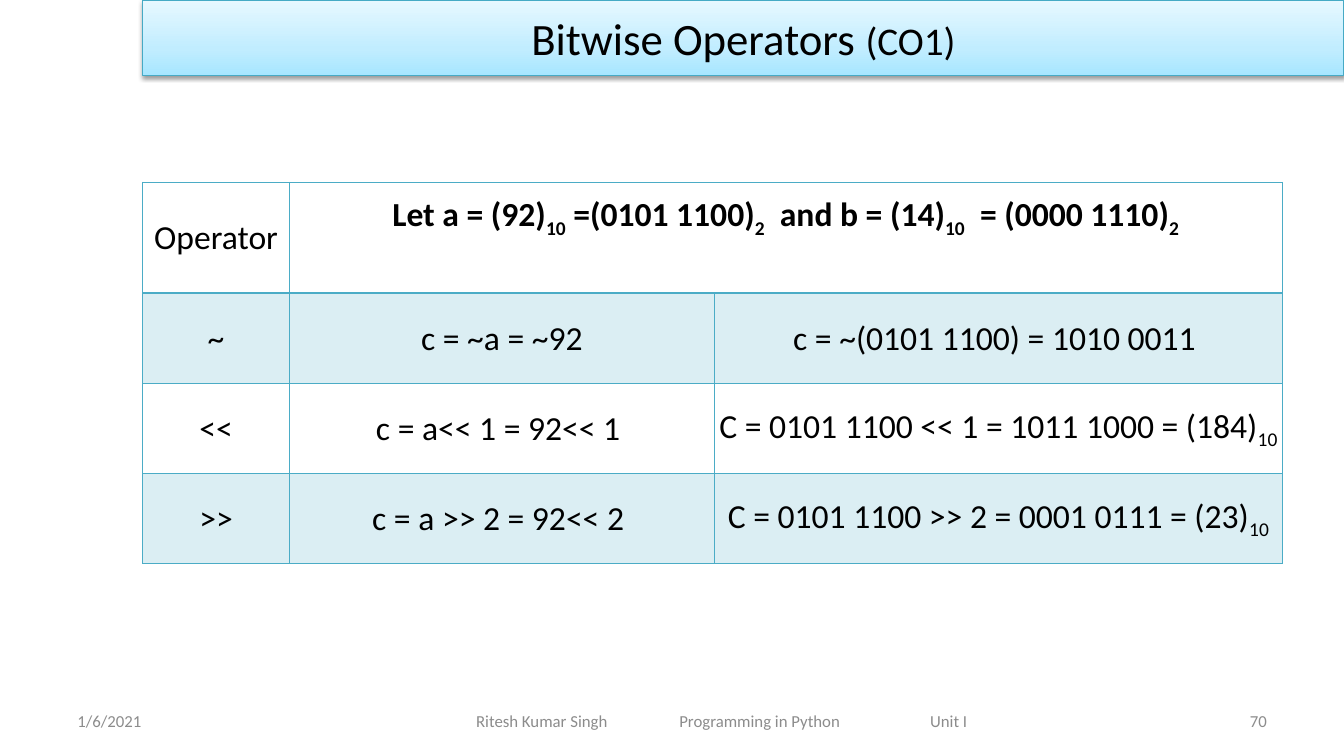
import pptx
import pptx.dml.color
import pptx.enum.text
import pptx.oxml
import pptx.oxml.ns
import pptx.util
from pptx.util import Cm

THEME = {
    "font": "Calibri", "text": "000000", "muted": "8C8C8C",
    "accent": "4BACC6", "title_line": "46AAC5",
    "title_stops": [(0, "A7E6FF"), (35, "C1EDFF"), (100, "E7F8FF")],
    "title": 32, "title_small": 28, "body": 24, "footer": 12,
}
ALIGN = pptx.enum.text.PP_ALIGN
MIDDLE = pptx.enum.text.MSO_ANCHOR.MIDDLE
RGB = pptx.dml.color.RGBColor.from_string


def xml(markup):
    """Parse one drawing element written without its namespace."""
    tag, rest = markup[1:].split(" ", 1)
    return pptx.oxml.parse_xml(f"<{tag} {pptx.oxml.ns.nsdecls('a')} {rest}")


def write(para, text, size=THEME["body"], color=THEME["text"], bold=False, align=ALIGN.CENTER):
    """Add text to a paragraph; parts between bars are subscripts."""
    para.alignment = align
    for index, part in enumerate(text.split("|")):
        if not part:
            continue
        span = para.add_run()
        span.text = part
        span.font.name = THEME["font"]
        span.font.size = pptx.util.Pt(size)
        span.font.bold = bold
        span.font.color.rgb = RGB(color)
        if index % 2:
            span.font._element.set("baseline", "-25000")


deck = pptx.Presentation()
deck.slide_width, deck.slide_height = Cm(33.87), Cm(19.05)
page = deck.slides.add_slide(deck.slide_layouts[5])

# Title bar
title = page.shapes.title
title.left, title.top, title.width, title.height = Cm(3.6), Cm(0), Cm(30.27), Cm(1.9)
title.text_frame.auto_size = pptx.enum.text.MSO_AUTO_SIZE.NONE
title.text_frame.vertical_anchor = MIDDLE
heading = title.text_frame.paragraphs[0]
write(heading, "Bitwise Operators ", size=THEME["title"])
write(heading, "(CO1)", size=THEME["title_small"])
title.fill.gradient()
title.fill.gradient_angle = 90
stops = title._element.spPr.find(".//" + pptx.oxml.ns.qn("a:gsLst"))
for stop in list(stops):
    stops.remove(stop)
for position, color in THEME["title_stops"]:
    stops.append(xml(f'<a:gs pos="{position * 1000}"><a:srgbClr val="{color}"/></a:gs>'))
title.line.color.rgb = RGB(THEME["title_line"])
title.line.width = pptx.util.Pt(0.75)
title.shadow.inherit = False
title._element.spPr.find(pptx.oxml.ns.qn("a:effectLst")).append(xml(
    '<a:outerShdw blurRad="40000" dist="20000" dir="5400000" rotWithShape="0">'
    '<a:srgbClr val="000000"><a:alpha val="38000"/></a:srgbClr></a:outerShdw>'))

# Operator table
ROWS = [
    ("Operator", "Let a = (92)|10| =(0101 1100)|2|  and b = (14)|10|  = (0000 1110)|2|", ""),
    ("~", "c = ~a = ~92", "c = ~(0101 1100) = 1010 0011 "),
    ("<<", "c = a<< 1 = 92<< 1 ", "C = 0101 1100 << 1 = 1011 1000 = (184)|10|"),
    (">>", "c = a >> 2 = 92<< 2 ", "C = 0101 1100 >> 2 = 0001 0111 = (23)|10|"),
]
WIDTHS = [3.69, 10.72, 14.3]
HEIGHTS = [2.79, 2.27, 2.27, 2.27]
table = page.shapes.add_table(
    len(ROWS), len(WIDTHS), Cm(3.6), Cm(4.6), Cm(sum(WIDTHS)), Cm(sum(HEIGHTS))).table
table.first_row = table.horz_banding = False
for column, width in zip(table.columns, WIDTHS):
    column.width = Cm(width)
for row, height in zip(table.rows, HEIGHTS):
    row.height = Cm(height)
table.cell(0, 1).merge(table.cell(0, 2))

for r, texts in enumerate(ROWS):
    for c, text in enumerate(texts):
        cell = table.cell(r, c)
        cell.vertical_anchor = MIDDLE
        cell.margin_left = cell.margin_right = cell.margin_top = Cm(0.03)
        cell.margin_bottom = Cm(0)
        write(cell.text_frame.paragraphs[0], text, bold=(r == 0 and c > 0))
        if r % 2:
            cell.fill.solid()
            cell.fill.fore_color.rgb = RGB(THEME["accent"])
            tint = cell._tc.tcPr.find(".//" + pptx.oxml.ns.qn("a:srgbClr"))
            tint.append(xml('<a:alpha val="20000"/>'))
        else:
            cell.fill.background()
        # The rule under the heading row is twice as thick
        for index, side in enumerate("LRTB"):
            points = 2 if (r, side) in [(0, "B"), (1, "T")] else 1
            cell._tc.tcPr.insert(index, xml(
                f'<a:ln{side} w="{points * 12700}"><a:solidFill>'
                f'<a:srgbClr val="{THEME["accent"]}"/></a:solidFill></a:ln{side}>'))

# The premise sits in the upper part of its row
premise = table.cell(0, 1)
premise.vertical_anchor = pptx.enum.text.MSO_ANCHOR.TOP
premise.margin_top = Cm(0.31)

# Footer: date, author with course and unit, page number
FOOTER = [
    (1.7, 7.9, "1/6/2021", ALIGN.LEFT),
    (11.23, 13.97, "Ritesh Kumar Singh\tProgramming in Python\tUnit I", ALIGN.LEFT),
    (24.28, 7.9, "70", ALIGN.RIGHT),
]
for left, width, text, align in FOOTER:
    box = page.shapes.add_textbox(Cm(left), Cm(17.65), Cm(width), Cm(1.02))
    box.text_frame.word_wrap = True
    box.text_frame.vertical_anchor = MIDDLE
    para = box.text_frame.paragraphs[0]
    write(para, text, size=THEME["footer"], color=THEME["muted"], align=align)
    if "\t" in text:
        box.text_frame.margin_left = Cm(0.77)
        tabs = "".join(f'<a:tab pos="{Cm(stop)}" algn="l"/>' for stop in (5.12, 11.44))
        para._p.get_or_add_pPr().append(xml(f"<a:tabLst >{tabs}</a:tabLst>"))

deck.save("out.pptx")
